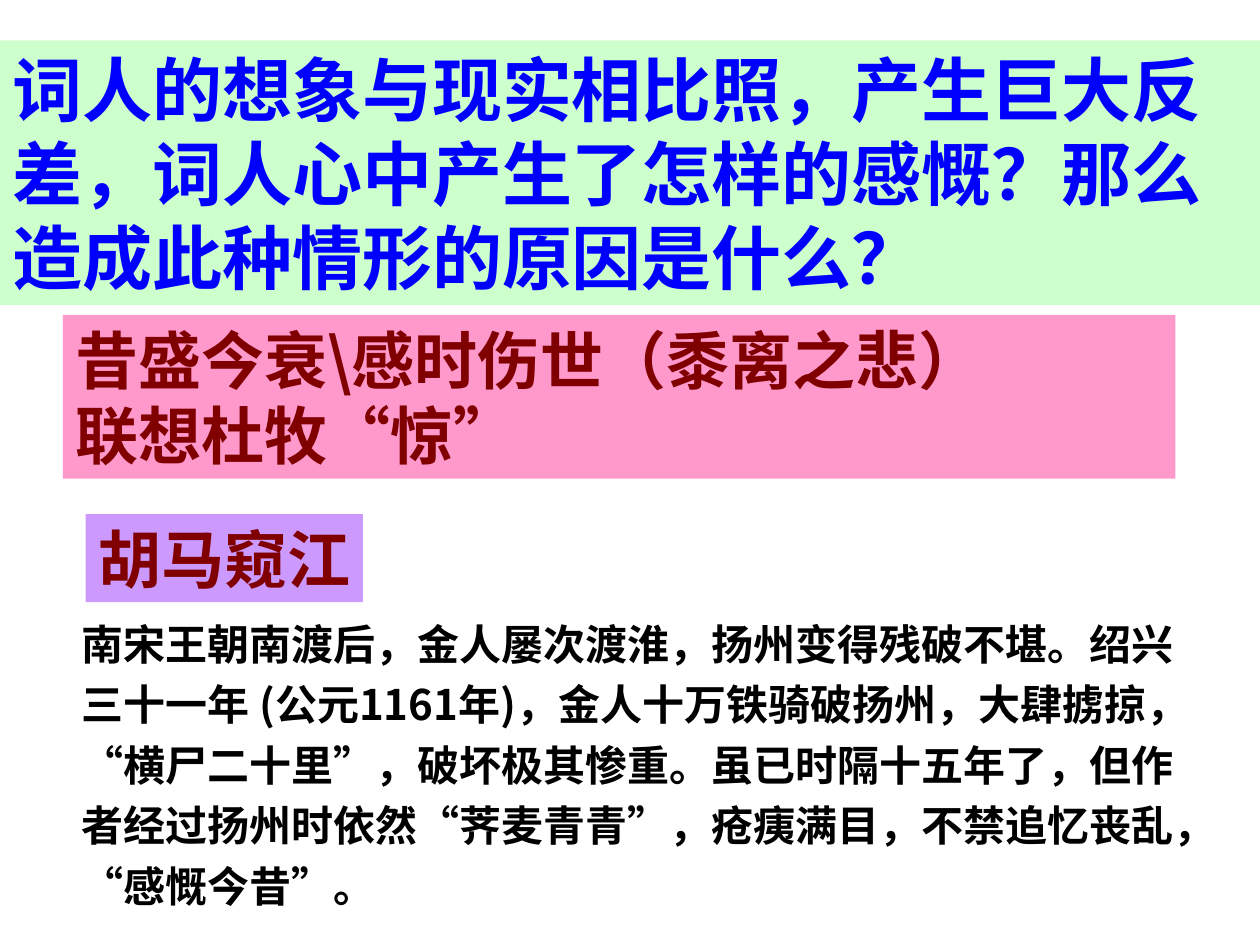
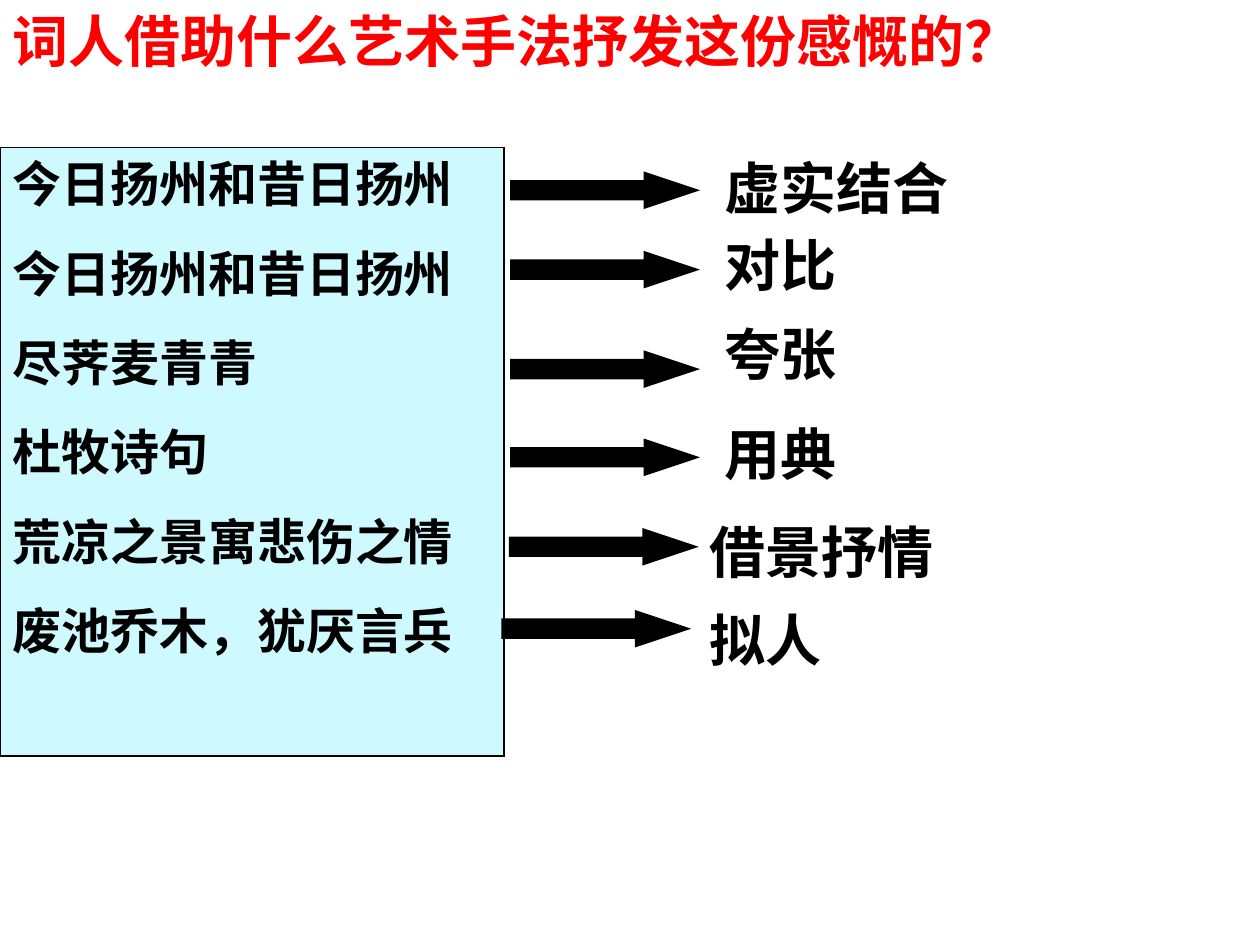
import itertools
from dataclasses import dataclass

import lxml.etree
import pptx
import pptx.dml.color
import pptx.enum.shapes
import pptx.enum.text
import pptx.oxml.ns
import pptx.util

Inches = pptx.util.Inches
Pt = pptx.util.Pt
qn = pptx.oxml.ns.qn
Anchor = pptx.enum.text.MSO_ANCHOR


@dataclass(frozen=True)
class Theme:
    blue: str = "0000FF"
    red: str = "FF0000"
    maroon: str = "800000"
    black: str = "000000"
    mint: str = "CCFFCC"
    pink: str = "FF99CC"
    lilac: str = "CC99FF"
    pale_cyan: str = "CEF9FE"
    question_size: int = 40
    answer_size: int = 36
    label_size: int = 32
    list_size: int = 28
    note_size: int = 24
    heading_font: str = "Noto Sans CJK JP"
    text_font: str = "Noto Sans CJK SC"
    latin_font: str = "Arial"
    line_height: float = 1.2


class Deck:
    def __init__(self, theme):
        self.theme = theme
        self.presentation = pptx.Presentation()
        self.presentation.slide_width = Inches(10)
        self.presentation.slide_height = Inches(7.5)
        self.slide = None

    def new_slide(self, layout_index):
        layout = self.presentation.slide_layouts[layout_index]
        self.slide = self.presentation.slides.add_slide(layout)

    def color(self, value):
        return pptx.dml.color.RGBColor.from_string(value)

    def place(self, shape, box):
        shape.left, shape.top, shape.width, shape.height = map(Inches, box)

    def paint(self, shape, fill, line=None, width=0.75):
        shape.fill.solid()
        shape.fill.fore_color.rgb = self.color(fill)
        if line:
            shape.line.color.rgb = self.color(line)
            shape.line.width = Pt(width)
            outline = shape._element.spPr.find(qn("a:ln"))
            lxml.etree.SubElement(outline, qn("a:miter")).set("lim", "800000")
        else:
            shape.line.fill.background()

    def format_run(self, run, size, color, font):
        run.font.size = Pt(size)
        run.font.bold = True
        run.font.color.rgb = self.color(color)
        run.font.name = font
        east_asian = font if font != self.theme.latin_font else self.theme.text_font
        properties = run._r.get_or_add_rPr()
        lxml.etree.SubElement(properties, qn("a:ea")).set("typeface", east_asian)

    def set_text(self, shape, lines, size, color, font, anchor=Anchor.TOP,
                 wrap=True, spacing=1, before=0):
        frame = shape.text_frame
        frame.text = "\n".join(lines)
        frame.word_wrap = wrap
        frame.auto_size = pptx.enum.text.MSO_AUTO_SIZE.NONE
        frame.vertical_anchor = anchor
        frame.margin_left = frame.margin_right = Inches(0.1)
        frame.margin_top = frame.margin_bottom = Inches(0.05)
        for paragraph in frame.paragraphs:
            paragraph.alignment = pptx.enum.text.PP_ALIGN.LEFT
            paragraph.line_spacing = Pt(size * self.theme.line_height * spacing)
            paragraph.space_before = Pt(before)
            for run in paragraph.runs:
                self.format_run(run, size, color, font)

    def title(self, text, box, size, color, font, fill=None):
        shape = self.slide.shapes.title
        self.place(shape, box)
        if fill:
            self.paint(shape, fill)
        self.set_text(shape, [text], size, color, font, anchor=Anchor.MIDDLE)

    def bullet_free_list(self, lines, box, before):
        theme = self.theme
        shape = self.slide.placeholders[1]
        self.place(shape, box)
        self.paint(shape, theme.pale_cyan, theme.black)
        self.set_text(shape, lines, theme.list_size, theme.black,
                      theme.latin_font, before=before)
        for paragraph in shape.text_frame.paragraphs:
            properties = paragraph._p.get_or_add_pPr()
            properties.set("marL", "0")
            properties.set("indent", "0")
            lxml.etree.SubElement(properties, qn("a:buNone"))

    def panel(self, lines, box, fill, wrap=True):
        theme = self.theme
        shape = self.slide.shapes.add_textbox(*map(Inches, box))
        self.paint(shape, fill)
        self.set_text(shape, lines, theme.answer_size, theme.maroon,
                      theme.heading_font, wrap=wrap)

    def label(self, text, box):
        theme = self.theme
        shape = self.slide.shapes.add_textbox(*map(Inches, box))
        self.set_text(shape, [text], theme.label_size, theme.black,
                      theme.latin_font)

    def note(self, text, box, spacing):
        theme = self.theme
        shape = self.slide.shapes.add_textbox(*map(Inches, box))
        self.set_text(shape, [""], theme.note_size, theme.black, theme.text_font,
                      spacing=spacing)
        paragraph = shape.text_frame.paragraphs[0]
        for is_quote, characters in itertools.groupby(text, lambda c: c in "“”"):
            run = paragraph.add_run()
            run.text = "".join(characters)
            font = theme.latin_font if is_quote else theme.text_font
            self.format_run(run, theme.note_size, theme.black, font)

    def arrow(self, left, top):
        shape = self.slide.shapes.add_shape(
            pptx.enum.shapes.MSO_SHAPE.RIGHT_ARROW,
            Inches(left), Inches(top), Inches(1.42), Inches(0.24))
        shape.shadow.inherit = False
        shape.adjustments[0] = 0.5
        shape.adjustments[1] = 1.5
        self.paint(shape, self.theme.black, self.theme.black, 3)


def build_feeling_slide(deck):
    theme = deck.theme
    deck.new_slide(5)
    deck.title(
        "词人的想象与现实相比照，产生巨大反差，词人心中产生了怎样的感慨？"
        "那么造成此种情形的原因是什么？",
        (0, 0.32, 10, 2.1), theme.question_size, theme.blue,
        theme.heading_font, theme.mint)
    deck.panel(["昔盛今衰\\感时伤世（黍离之悲）", "联想杜牧“惊”"],
               (0.5, 2.5, 8.83, 1.3), theme.pink)
    deck.panel(["胡马窥江"], (0.68, 4.08, 2.2, 0.7), theme.lilac, wrap=False)
    deck.note(
        "南宋王朝南渡后，金人屡次渡淮，扬州变得残破不堪。"
        "绍兴三十一年 (公元1161年)，金人十万铁骑破扬州，大肆掳掠，"
        "“横尸二十里”，破坏极其惨重。虽已时隔十五年了，"
        "但作者经过扬州时依然“荠麦青青”，疮痍满目，不禁追忆丧乱，“感慨今昔”。",
        (0.55, 4.78, 8.88, 2.5), spacing=1.2)


def build_technique_slide(deck):
    theme = deck.theme
    techniques = [
        ("今日扬州和昔日扬州", "虚实结合", (4.07, 1.39), (5.65, 1.17, 4.76)),
        ("今日扬州和昔日扬州", "对比", (4.07, 2.02), (5.65, 1.78, 4.76)),
        ("尽荠麦青青", "夸张", (4.07, 2.81), (5.65, 2.49, 2.28)),
        ("杜牧诗句", "用典", (4.07, 3.51), (5.65, 3.28, 2.13)),
        ("荒凉之景寓悲伤之情", "借景抒情", (4.06, 4.22), (5.53, 4.06, 4.53)),
        ("废池乔木，犹厌言兵", "拟人", (4, 4.87), (5.53, 4.76, 4.57)),
    ]
    deck.new_slide(1)
    deck.title("词人借助什么艺术手法抒发这份感慨的？", (0, 0, 10.67, 0.64),
               theme.label_size, theme.red, theme.text_font)
    deck.bullet_free_list([row[0] for row in techniques],
                          (0, 1.17, 4, 4.83), before=17.5)
    for _, technique, arrow_position, label_box in techniques:
        deck.arrow(*arrow_position)
        deck.label(technique, (*label_box, 0.64))


def main():
    deck = Deck(Theme())
    build_feeling_slide(deck)
    build_technique_slide(deck)
    deck.presentation.save("out.pptx")


if __name__ == "__main__":
    main()
